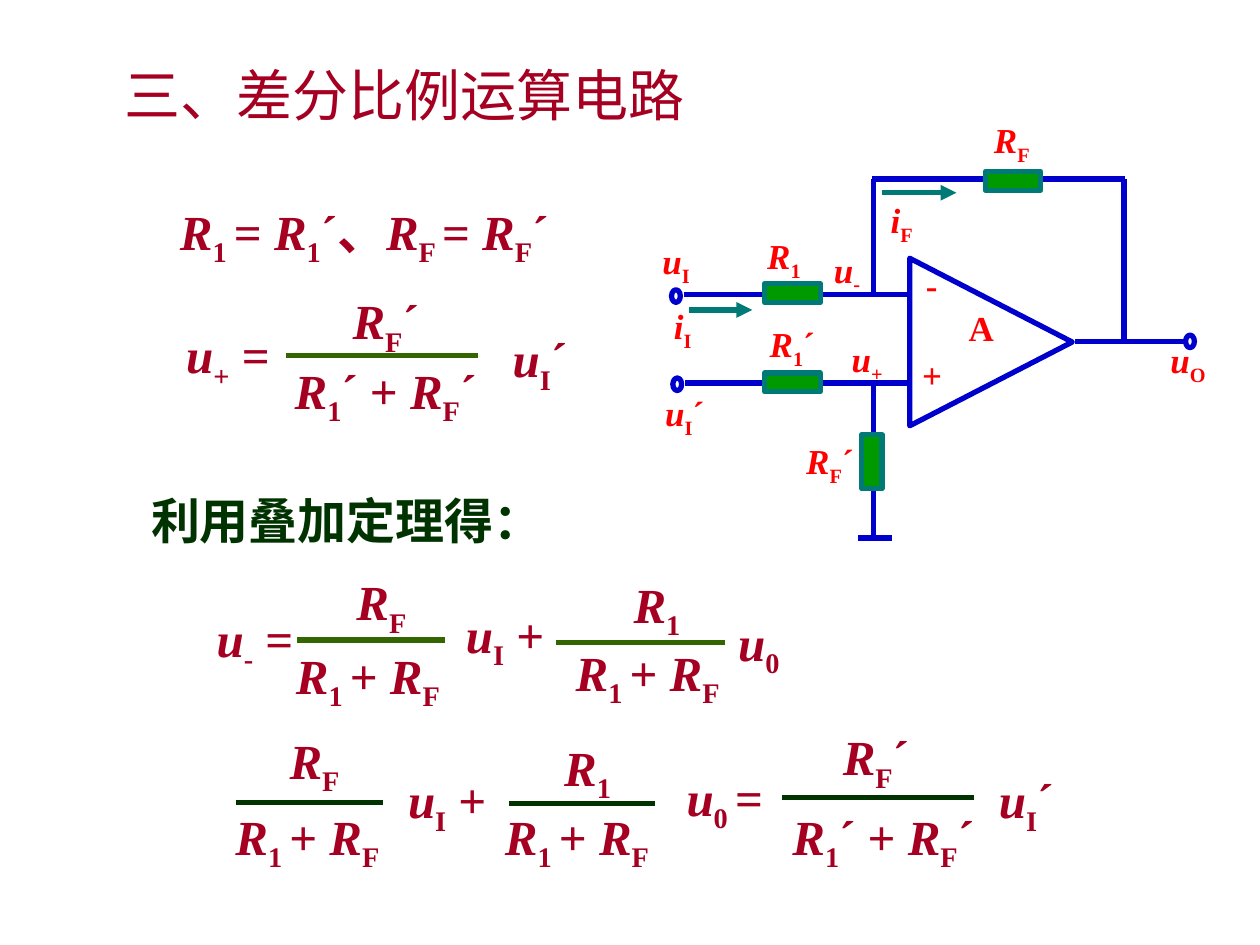
from itertools import groupby

from lxml import etree
from pptx import Presentation
from pptx.dml.color import RGBColor
from pptx.enum.shapes import MSO_CONNECTOR, MSO_SHAPE
from pptx.enum.text import MSO_ANCHOR, PP_ALIGN
from pptx.oxml.ns import qn
from pptx.util import Inches, Pt

STRAIGHT = MSO_CONNECTOR.STRAIGHT
RECTANGLE, OVAL = MSO_SHAPE.RECTANGLE, MSO_SHAPE.OVAL
TRIANGLE = MSO_SHAPE.ISOSCELES_TRIANGLE
TOP, LEFT = MSO_ANCHOR.TOP, PP_ALIGN.LEFT

CRIMSON = RGBColor(0xA5, 0x00, 0x21)
RED = RGBColor(0xFF, 0x00, 0x00)
DARK_GREEN = RGBColor(0x00, 0x33, 0x00)
OLIVE = RGBColor(0x33, 0x66, 0x00)
GREEN = RGBColor(0x00, 0x99, 0x00)
TEAL = RGBColor(0x00, 0x7A, 0x77)
BLUE = RGBColor(0x00, 0x00, 0xCC)

SERIF, SANS = "Times New Roman", "Noto Sans CJK JP"
STROKE = Pt(3)

TITLE = ("三、差分比例运算电路", 0.89, 0.43, 5.05, 0.64)
HEADING = ("利用叠加定理得：", 1.1, 3.84, 4.45, 0.57)

# Braces mark a subscript: text, left, top, width
FORMULA_PARTS = [
    ("R{1 }= R{1}´、R{F }= R{F}´", 1.33, 1.55, 3.38),
    ("u{+} =", 1.38, 2.53, 0.93),
    ("u{I}´", 3.97, 2.56, 0.76),
    ("u{-} =", 1.62, 4.78, 0.85),
    ("u{I} +", 3.6, 4.75, 0.94),
    ("u{0}", 5.76, 4.81, 0.61),
    ("u{I} +", 3.14, 6.06, 0.86),
    ("u{0 }=", 5.35, 6.04, 0.91),
    ("u{I}´", 7.83, 6.06, 0.77),
]

# Bar (left, right, y, colour), numerator and denominator (text, left, top, width)
SUM, PRIMED_SUM = "R{1 }+ R{F}", "R{1}´ + R{F}´"
FRACTIONS = [
    ((2.27, 3.79, 2.82, OLIVE), ("R{F}´", 2.7, 2.26, 0.95), (PRIMED_SUM, 2.24, 2.81, 1.96)),
    ((2.36, 3.53, 5.08, OLIVE), ("R{F}", 2.73, 4.49, 0.65), (SUM, 2.25, 5.07, 1.45)),
    ((4.41, 5.75, 5.1, OLIVE), ("R{1}", 4.93, 4.51, 0.6), (SUM, 4.47, 5.05, 1.48)),
    ((1.87, 3.04, 6.37, DARK_GREEN), ("R{F}", 2.2, 5.75, 0.65), (SUM, 1.77, 6.35, 1.51)),
    ((4.04, 5.2, 6.38, DARK_GREEN), ("R{1}", 4.38, 5.8, 0.6), (SUM, 3.91, 6.35, 1.54)),
    ((6.21, 7.73, 6.33, DARK_GREEN), ("R{F}´", 6.59, 5.72, 1.01), (PRIMED_SUM, 6.19, 6.35, 1.91)),
]

CIRCUIT_LABELS = [
    ("R{F}", 7.79, 0.89, 0.98),
    ("i{F}", 6.97, 1.53, 0.8),
    ("u{I}", 5.16, 1.85, 0.84),
    ("i{I}", 5.25, 2.37, 0.4),
    ("R{1}", 5.99, 1.81, 0.9),
    ("u{-}", 6.52, 1.92, 0.85),
    ("R{1}´", 6.01, 2.51, 1.03),
    ("u{+}", 6.66, 2.63, 0.62),
    ("u{I}´", 5.18, 3.06, 0.95),
    ("R{F}´", 6.3, 3.44, 1.12),
    ("-", 7.25, 2.04, 0.54),
    ("+", 7.22, 2.76, 0.49),
    ("A", 7.59, 2.38, 0.7),
    ("u{O}", 9.19, 2.64, 0.81),
]
WIRES = [  # x1, y1, x2, y2
    (5.43, 2.34, 7.22, 2.34),
    (5.44, 3.04, 7.23, 3.04),
    (8.53, 2.71, 9.41, 2.71),
    (6.92, 1.42, 8.93, 1.42),
    (8.92, 1.42, 8.92, 2.71),
    (6.93, 2.35, 6.93, 1.42),
    (6.93, 3.04, 6.93, 4.25),
    (6.81, 4.27, 7.08, 4.27),
]
CURRENT_ARROWS = [(5.47, 2.46, 5.97, 2.46), (7, 1.53, 7.59, 1.53)]
TERMINALS = [(5.33, 2.3), (5.34, 3), (9.41, 2.66)]
RESISTORS = [
    (7.82, 1.36, 0.44, 0.15),
    (6.07, 2.25, 0.44, 0.15),
    (6.07, 2.96, 0.44, 0.15),
    (6.84, 3.45, 0.16, 0.43),
]
AMPLIFIER = (7.2, 2.07, 1.33, 1.29)


def inches(values):
    return [Inches(value) for value in values]


def add_run(paragraph, text, size, color, font_name=SERIF, bold=True, italic=False):
    run = paragraph.add_run()
    run.text = text
    run.font.color.rgb = color
    formats = {"size": Pt(size), "name": font_name, "bold": bold, "italic": italic}
    for name, value in formats.items():
        setattr(run.font, name, value)
    etree.SubElement(run.font._element, qn("a:ea"), typeface=SANS)
    return run


def add_text(slide, text, left, top, width, height, size, color):
    """Write text with braces as subscripts and the variables R, u, i in italics."""
    box = slide.shapes.add_textbox(*inches((left, top, width, height)))
    box.text_frame.word_wrap = True
    paragraph = box.text_frame.paragraphs[0]
    for index, piece in enumerate(text.replace("}", "{").split("{")):
        subscript = index % 2 == 1
        for variable, letters in groupby(piece, lambda letter: letter in "Rui"):
            run = add_run(paragraph, "".join(letters), size, color,
                          italic=variable and not subscript)
            if subscript:
                run.font._element.set("baseline", "-25000")


def add_line(slide, points, color, arrow=False):
    line = slide.shapes.add_connector(STRAIGHT, *inches(points))
    line.line.color.rgb = color
    line.line.width = STROKE
    if arrow:
        etree.SubElement(line.line._get_or_add_ln(), qn("a:tailEnd"), type="triangle")
    etree.SubElement(line._element.spPr, qn("a:effectLst"))


def add_symbol(slide, kind, box, line_color, fill_color=None):
    shape = slide.shapes.add_shape(kind, *inches(box))
    shape.shadow.inherit = False
    shape.line.color.rgb = line_color
    shape.line.width = STROKE
    if fill_color is None:
        shape.fill.background()
    else:
        shape.fill.solid()
        shape.fill.fore_color.rgb = fill_color
    return shape


def add_title(slide):
    text, *box = TITLE
    title = slide.shapes.title
    title.left, title.top, title.width, title.height = inches(box)
    title.text_frame.vertical_anchor = TOP
    title.text_frame.word_wrap = True
    paragraph = title.text_frame.paragraphs[0]
    paragraph.alignment = LEFT
    add_run(paragraph, text, 32, CRIMSON, SANS, bold=False)


def add_formulas(slide):
    for text, left, top, width in FORMULA_PARTS:
        add_text(slide, text, left, top, width, 0.63, 28, CRIMSON)
    for (start, end, y, color), *terms in FRACTIONS:
        add_line(slide, (start, y, end, y), color)
        for text, left, top, width in terms:
            add_text(slide, text, left, top, width, 0.63, 28, CRIMSON)
    add_text(slide, *HEADING, 28, DARK_GREEN)


def add_circuit(slide):
    add_symbol(slide, TRIANGLE, AMPLIFIER, BLUE).rotation = 90
    for wire in WIRES:
        add_line(slide, wire, BLUE)
    for arrow in CURRENT_ARROWS:
        add_line(slide, arrow, TEAL, arrow=True)
    for left, top in TERMINALS:
        add_symbol(slide, OVAL, (left, top, 0.07, 0.1), BLUE)
    for box in RESISTORS:
        add_symbol(slide, RECTANGLE, box, TEAL, GREEN)
    for text, left, top, width in CIRCUIT_LABELS:
        height = 0.48 if "{" in text else 0.44
        add_text(slide, text, left, top, width, height, 20, RED)


def main():
    presentation = Presentation()
    presentation.slide_width, presentation.slide_height = Inches(10), Inches(7.5)
    slide = presentation.slides.add_slide(presentation.slide_layouts[5])
    add_title(slide)
    add_formulas(slide)
    add_circuit(slide)
    presentation.save("out.pptx")


if __name__ == "__main__":
    main()
